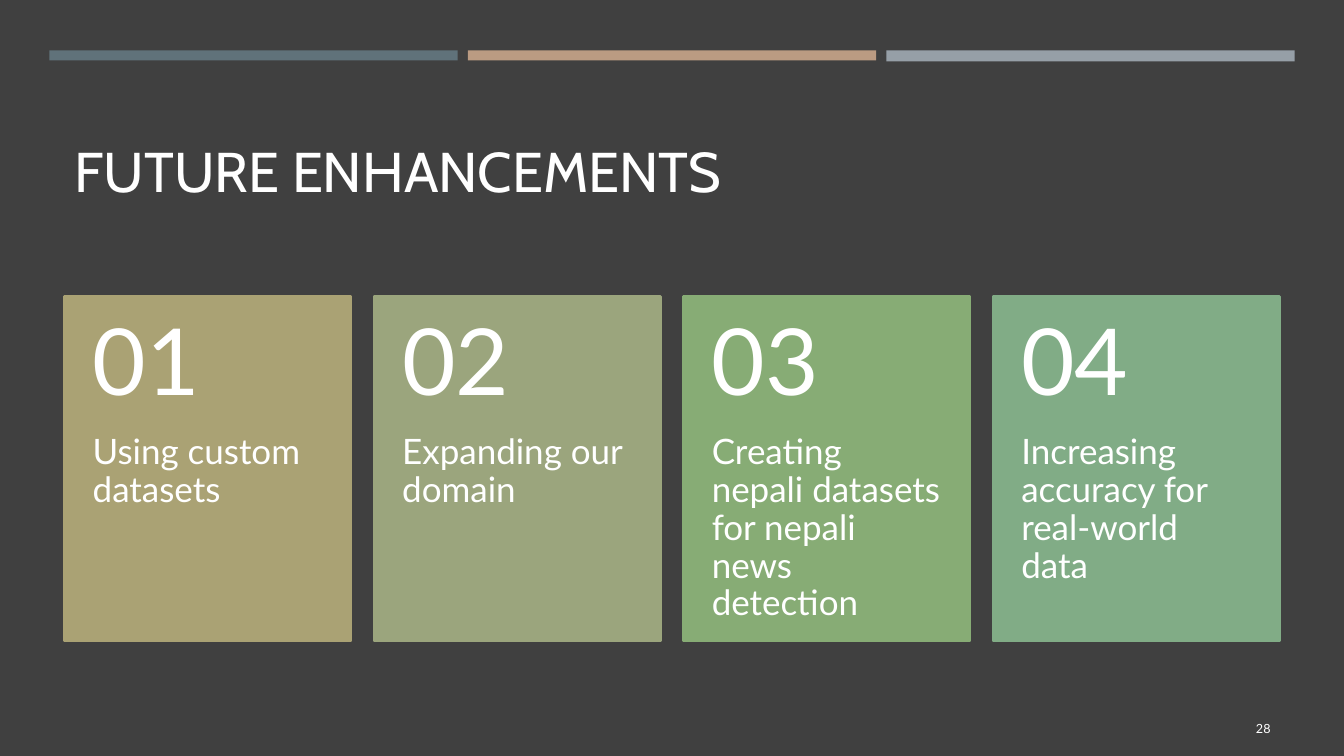
from dataclasses import dataclass

import pptx
import pptx.util
from pptx.dml.color import RGBColor
from pptx.enum.shapes import MSO_SHAPE
from pptx.enum.text import MSO_ANCHOR, PP_ALIGN
from pptx.shapes.autoshape import Shape
from pptx.slide import Slide
from pptx.util import Inches


@dataclass(frozen=True)
class Theme:
    back: str = "404040"
    ink: str = "FFFFFF"
    head: str = "Cabin"
    body: str = "Lato"
    title: int = 40
    digit: int = 66
    text: int = 25
    page: int = 9


@dataclass(frozen=True)
class Bar:
    fill: str
    height: float = 0.1


@dataclass(frozen=True)
class Card:
    text: str
    fill: str


THEME = Theme()
BARS = [Bar("60727A"), Bar("BB9B82"), Bar("969FA7", 0.11)]
CARDS = [
    Card("Using custom datasets", "AAA274"),
    Card("Expanding our domain", "9BA57D"),
    Card("Creating nepali datasets for nepali news detection", "87AC75"),
    Card("Increasing accuracy for real-world data", "81AC86"),
]
BAR_LEFT, BAR_TOP, BAR_WIDTH, BAR_STEP = 0.49, 0.5, 4.05, 4.15
CARD_LEFT, CARD_TOP, CARD_WIDTH, CARD_STEP = 0.64, 2.94, 2.84, 3.07
DIGIT_HEIGHT, TEXT_HEIGHT = 1.37, 2.05
PAD = 0.28


def set_text(shape: Shape, text: str, *, size: int, font: str = THEME.body,
             anchor: MSO_ANCHOR = MSO_ANCHOR.TOP,
             align: PP_ALIGN = PP_ALIGN.LEFT, spacing: float = 1.0,
             inset: tuple[float, float, float, float] = (0.1, 0.05, 0.1, 0.05)) -> None:
    frame = shape.text_frame
    frame.word_wrap = True
    frame.vertical_anchor = anchor
    (frame.margin_left, frame.margin_top,
     frame.margin_right, frame.margin_bottom) = map(Inches, inset)
    para = frame.paragraphs[0]
    para.alignment = align
    para.line_spacing = spacing
    run = para.add_run()
    run.text = text
    run.font.size = pptx.util.Pt(size)
    run.font.name = font
    run.font.color.rgb = RGBColor.from_string(THEME.ink)


def add_box(slide: Slide, left: float, top: float, width: float, height: float) -> Shape:
    return slide.shapes.add_textbox(*map(Inches, (left, top, width, height)))


def add_rect(slide: Slide, left: float, top: float, width: float, height: float,
             fill: str, line: float = 0) -> None:
    rect = slide.shapes.add_shape(
        MSO_SHAPE.RECTANGLE, *map(Inches, (left, top, width, height)))
    rect.shadow.inherit = False
    color = RGBColor.from_string(fill)
    rect.fill.solid()
    rect.fill.fore_color.rgb = color
    if line:
        rect.line.color.rgb = color
        rect.line.width = pptx.util.Pt(line)
    else:
        rect.line.fill.background()


def add_card(slide: Slide, card: Card, index: int) -> None:
    left = CARD_LEFT + index * CARD_STEP
    add_rect(slide, left, CARD_TOP, CARD_WIDTH, DIGIT_HEIGHT + TEXT_HEIGHT,
             card.fill, line=1.75)
    text = add_box(slide, left, CARD_TOP + DIGIT_HEIGHT, CARD_WIDTH, TEXT_HEIGHT)
    set_text(text, card.text, size=THEME.text, spacing=0.9,
             inset=(PAD, 0, PAD, 0.36))
    digit = add_box(slide, left, CARD_TOP, CARD_WIDTH, DIGIT_HEIGHT)
    set_text(digit, f"{index + 1:02}", size=THEME.digit, spacing=0.9,
             anchor=MSO_ANCHOR.MIDDLE, inset=(PAD, 0.18, PAD, 0.18))


def main() -> None:
    deck = pptx.Presentation()
    deck.slide_width, deck.slide_height = Inches(13.33), Inches(7.5)
    slide = deck.slides.add_slide(deck.slide_layouts.get_by_name("Title Only"))
    slide.background.fill.solid()
    slide.background.fill.fore_color.rgb = RGBColor.from_string(THEME.back)

    # Title
    title = slide.shapes.title
    title.left, title.top = Inches(0.64), Inches(0.77)
    title.width, title.height = Inches(12.06), Inches(1.3)
    set_text(title, "FUTURE ENHANCEMENTS", size=THEME.title, font=THEME.head,
             anchor=MSO_ANCHOR.BOTTOM)

    # Top bars
    for i, bar in enumerate(BARS):
        add_rect(slide, BAR_LEFT + i * BAR_STEP, BAR_TOP, BAR_WIDTH,
                 bar.height, bar.fill)

    # Numbered cards
    for i, card in enumerate(CARDS):
        add_card(slide, card, i)

    # Page number
    page = add_box(slide, 11.55, 7.03, 1.15, 0.4)
    set_text(page, "28", size=THEME.page, anchor=MSO_ANCHOR.MIDDLE,
             align=PP_ALIGN.RIGHT)

    deck.save("out.pptx")


if __name__ == "__main__":
    main()
